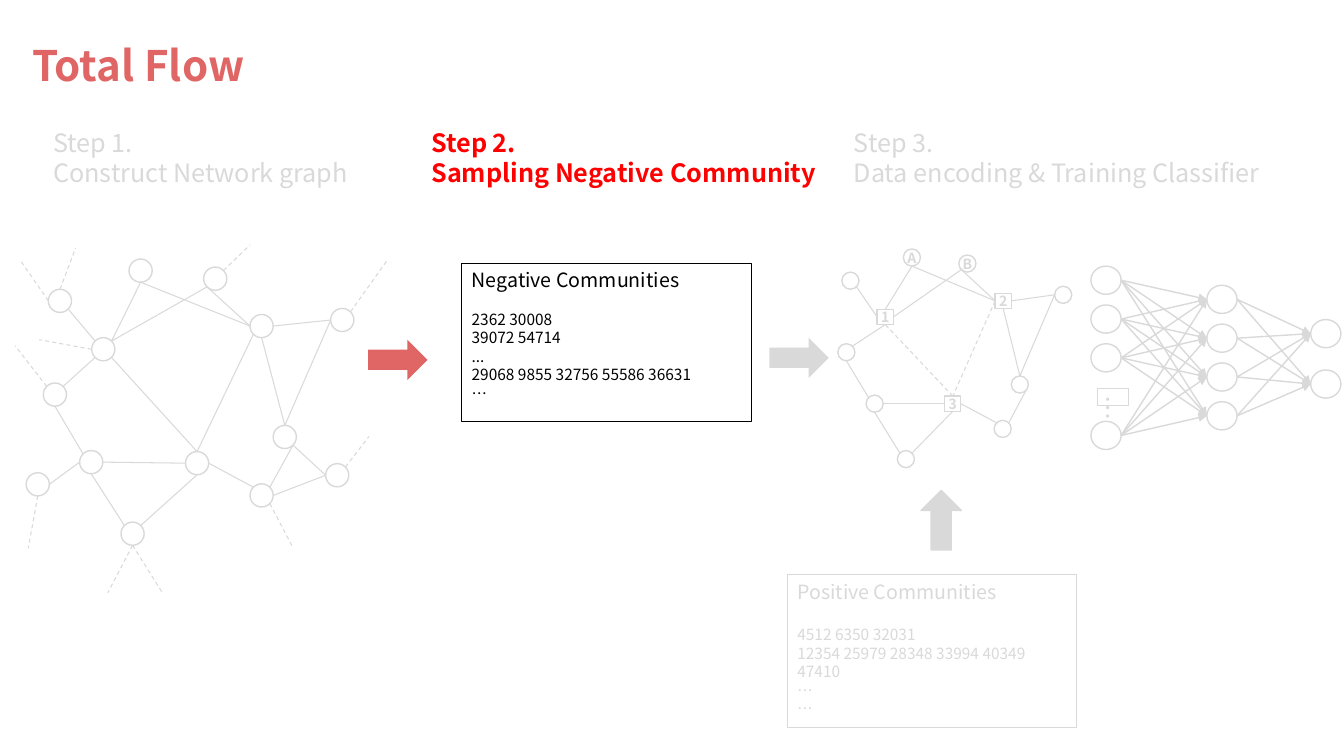
import itertools
import math

import pptx
import pptx.dml.color
import pptx.enum.dml
import pptx.enum.shapes
import pptx.enum.text
import pptx.oxml
import pptx.oxml.ns
import pptx.util

Inches = pptx.util.Inches
RGBColor = pptx.dml.color.RGBColor
Shape = pptx.enum.shapes.MSO_SHAPE
Align = pptx.enum.text.PP_ALIGN
Anchor = pptx.enum.text.MSO_ANCHOR

GRAY = RGBColor(0xD9, 0xD9, 0xD9)
CORAL = RGBColor(0xE0, 0x66, 0x66)
RED = RGBColor(0xFF, 0x00, 0x00)
BLACK = RGBColor(0x00, 0x00, 0x00)
WHITE = RGBColor(0xFF, 0xFF, 0xFF)

COMPASS = {"e": 0, "se": 45, "s": 90, "sw": 135, "w": 180, "nw": 225, "n": 270, "ne": 315}

GRAPH_NODES = {
    "a": (0.91, 3.35), "b": (2.48, 3.12), "c": (1.84, 4.48), "d": (1.28, 2.57),
    "e": (2.02, 2.65), "f": (0.43, 3.8), "g": (0.79, 4.47), "h": (1.2, 5.18),
    "i": (0.48, 2.87), "j": (0.26, 4.69), "k": (2.71, 4.22), "l": (3.28, 3.06),
    "m": (2.48, 4.8), "n": (3.23, 4.6),
}
GRAPH_EDGES = (
    "a.ne-d.s b.w-d.s a.ne-e.sw b.w-e.sw f.ne-a.sw f.s-g.nw c.w-g.e h.nw-g.s h.ne-c.s i.se-a.nw "
    "j.e-g.w b.e-l.w b.s-k.n l.w-k.n c.e-m.nw k.se-n.w m.e-n.w k.se-m.ne c.n-a.se b.sw-c.n"
)
GRAPH_STUBS = [
    ("i.n", (0.75, 2.46)), ("i.w", (0.2, 2.58)), ("f.nw", (0.15, 3.43)), ("a.w", (0.39, 3.37)),
    ("j.s", (0.28, 5.44)), ("h.s", (1.07, 5.88)), ("h.s", (1.61, 5.88)), ("l.ne", (3.85, 2.57)),
    ("m.se", (2.91, 5.44)), ("n.ne", (3.66, 4.33)), ("e.ne", (2.48, 2.43)),
]

COMMUNITY_NODES = {
    "A": (8.96, 2.47), "B": (9.51, 2.53), "o": (8.31, 3.41), "p": (8.59, 3.92), "q": (8.9, 4.47),
    "r": (8.35, 2.7), "s": (10.03, 3.73), "t": (10.46, 2.84), "u": (9.86, 4.17),
}
COMMUNITY_SQUARES = {"1": (8.7, 3.07), "2": (9.87, 2.91), "3": (9.37, 3.93)}
COMMUNITY_EDGES = (
    "1.n-A.s 2.w-A.s 1.e-B.sw 2.w-B.sw o.ne-1.s o.s-p.nw 3.w-p.e q.nw-p.s q.ne-3.s r.se-1.w "
    "2.e-t.w 2.s-s.n t.w-s.n 3.e-u.nw s.se-u.ne"
)
COMMUNITY_DASHES = "3.n-1.s 2.w-3.n"

LAYERS = [
    (10.82, [2.64 + 0.385 * row for row in (0, 1, 2, 4)]),
    (11.97, [2.83 + 0.385 * row for row in range(4)]),
    (13, [3.17, 3.67]),
]


def write(frame, lines, size=18, color=GRAY, bold=False, align=Align.LEFT,
          anchor=Anchor.TOP, wrap=True, inset=0.05, title_size=None, title_gap=0):
    """Fill a text frame with one paragraph per line."""
    frame.word_wrap = wrap
    frame.vertical_anchor = anchor
    frame.margin_left = frame.margin_right = Inches(0.1)
    frame.margin_top = frame.margin_bottom = Inches(inset)
    for index, line in enumerate(lines):
        para = frame.add_paragraph() if index else frame.paragraphs[0]
        para.alignment = align
        span = para.add_run()
        span.text = line
        span.font.name = "Noto Sans CJK KR"
        span.font.size = pptx.util.Pt(size)
        span.font.bold = bold
        span.font.color.rgb = color
        if title_size and index == 0:
            span.font.size = pptx.util.Pt(title_size)
            para.space_after = pptx.util.Pt(title_gap)


class FlowSlide:
    """Hold the slide and draw each kind of element on it."""

    def __init__(self, page):
        self.page = page
        self.shapes = page.shapes

    def text(self, left, top, width, height, lines, **style):
        box = self.page.shapes.add_textbox(*map(Inches, (left, top, width, height)))
        write(box.text_frame, lines, **style)

    def shape(self, kind, left, top, width, height, fill=None, line=None, weight=1):
        box = self.shapes.add_shape(kind, *map(Inches, (left, top, width, height)))
        box.shadow.inherit = False
        if fill is None:
            box.fill.background()
        else:
            box.fill.solid()
            box.fill.fore_color.rgb = fill
        if line is None:
            box.line.fill.background()
        else:
            box.line.color.rgb = line
            box.line.width = pptx.util.Pt(weight)
        return box

    def line(self, start, end, weight=0.75, dashed=False, arrow=False):
        link = self.shapes.add_connector(
            pptx.enum.shapes.MSO_CONNECTOR.STRAIGHT, *map(Inches, (*start, *end)))
        link.line.color.rgb = GRAY
        link.line.width = pptx.util.Pt(weight)
        if dashed:
            link.line.dash_style = pptx.enum.dml.MSO_LINE.DASH
        if arrow:
            tail = pptx.oxml.parse_xml(f'<a:tailEnd {pptx.oxml.ns.nsdecls("a")} type="triangle"/>')
            link.line._get_or_add_ln().append(tail)
        link._element.spPr.append(
            pptx.oxml.parse_xml(f'<a:effectLst {pptx.oxml.ns.nsdecls("a")}/>'))

    def nodes(self, kind, places, width, height):
        for name, (left, top) in places.items():
            node = self.shape(kind, left, top, width, height, line=GRAY)
            if not name.islower():
                write(node.text_frame, [name], size=10, bold=True, align=Align.CENTER,
                      anchor=Anchor.MIDDLE, wrap=False)
        return {
            f"{name}.{side}": (left + width / 2 * (1 + math.cos(math.radians(angle))),
                               top + height / 2 * (1 + math.sin(math.radians(angle))))
            for name, (left, top) in places.items() for side, angle in COMPASS.items()
        }

    def edges(self, sites, pairs, dashed=False):
        for pair in pairs.split():
            start, end = pair.split("-")
            self.line(sites[start], sites[end], dashed=dashed)

    def network_graph(self):
        self.shapes = self.page.shapes.add_group_shape().shapes
        sites = self.nodes(Shape.OVAL, GRAPH_NODES, 0.23, 0.23)
        self.edges(sites, GRAPH_EDGES)
        for site, end in GRAPH_STUBS:
            self.line(sites[site], end, dashed=True)
        self.shapes = self.page.shapes

    def community(self):
        sites = self.nodes(Shape.OVAL, COMMUNITY_NODES, 0.17, 0.17)
        sites.update(self.nodes(Shape.RECTANGLE, COMMUNITY_SQUARES, 0.16, 0.15))
        self.edges(sites, COMMUNITY_EDGES)
        self.edges(sites, COMMUNITY_DASHES, dashed=True)

    def classifier(self):
        width, height = 0.3, 0.28
        for left, tops in LAYERS:
            for top in tops:
                self.shape(Shape.OVAL, left, top, width, height, fill=WHITE, line=GRAY)
        more = self.shape(Shape.RECTANGLE, 10.95, 3.78, 0.17, 0.31, line=GRAY, weight=0.75)
        more.rotation = 90
        write(more.text_frame, ["…"], wrap=False)
        for (left, starts), (right, ends) in itertools.pairwise(LAYERS):
            for start, end in itertools.product(starts, ends):
                self.line((left + width, start + height / 2), (right, end + height / 2),
                          weight=1, arrow=True)

    def arrow(self, left, top, fill, line=None, rotation=0):
        box = self.shape(Shape.RIGHT_ARROW, left, top, 0.59, 0.4, fill=fill, line=line)
        box.rotation = rotation

    def panel(self, left, top, height, lines, color, gap):
        box = self.shape(Shape.RECTANGLE, left, top, 2.87, height, line=color, weight=0.75)
        write(box.text_frame, lines, size=11, color=color, title_size=14, title_gap=gap)


def main():
    deck = pptx.Presentation()
    deck.slide_width, deck.slide_height = Inches(13.33), Inches(7.5)
    slide = FlowSlide(deck.slides.add_slide(deck.slide_layouts[6]))
    slide.text(0.22, 0.29, 3.02, 0.47, ["Total Flow"], size=30, color=CORAL, bold=True, inset=0.1)
    slide.text(0.43, 1.21, 3.3, 0.4, ["Step 1.", "Construct Network graph"])
    slide.text(4.18, 1.21, 4.04, 0.86, ["Step 2.", "Sampling Negative Community"],
               color=RED, bold=True)
    slide.text(8.37, 1.21, 4.45, 0.4, ["Step 3.", "Data encoding & Training Classifier"])
    slide.network_graph()
    slide.community()
    slide.classifier()
    slide.arrow(3.65, 3.37, CORAL)
    slide.arrow(7.63, 3.35, GRAY)
    slide.arrow(9.04, 4.96, GRAY, line=GRAY, rotation=270)
    slide.panel(7.81, 5.7, 1.52, ["Positive Communities", "4512 6350 32031",
                "12354 25979 28348 33994 40349 47410", "…", "…"], GRAY, 16)
    slide.panel(4.58, 2.61, 1.57, ["Negative Communities", "2362 30008", "39072 54714", "...",
                "29068 9855 32756 55586 36631", "…"], BLACK, 13)


    deck.save("out.pptx")


if __name__ == "__main__":
    main()
